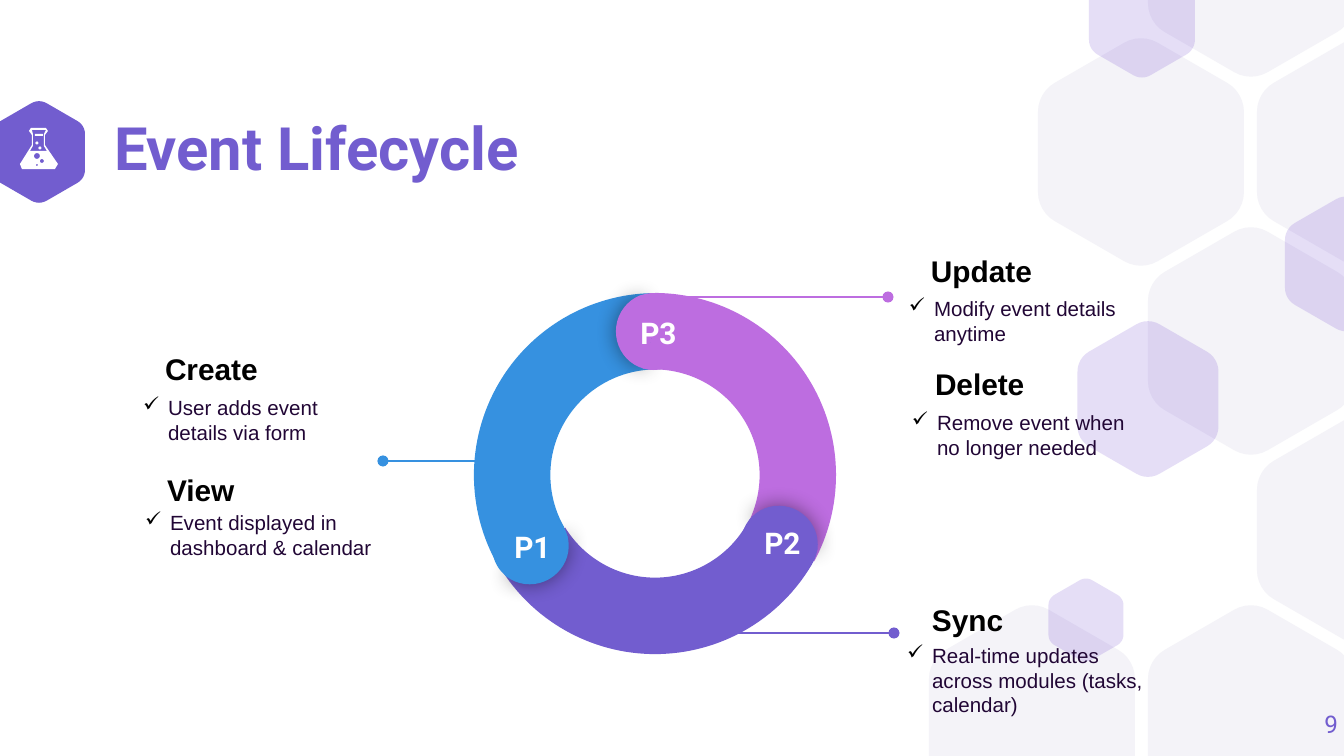
import math

import pptx
import pptx.dml.color
import pptx.enum.shapes
import pptx.enum.text
import pptx.oxml
import pptx.oxml.ns
import pptx.util

PX = 6804  # EMU in one px, 1344 px across the slide
NS = 'xmlns:a="http://schemas.openxmlformats.org/drawingml/2006/main"'
PURPLE, BLUE, PINK, WHITE = "725DCF", "3691E0", "BD6DE0", "FFFFFF"
rgb = pptx.dml.color.RGBColor.from_string
qn = pptx.oxml.ns.qn
parse_xml = pptx.oxml.parse_xml
shape_type = pptx.enum.shapes.MSO_SHAPE
align = pptx.enum.text.PP_ALIGN
anchor = pptx.enum.text.MSO_ANCHOR

deck = pptx.Presentation()
deck.slide_width = 1344 * PX
deck.slide_height = 756 * PX
slide = deck.slides.add_slide(deck.slide_layouts[6])
shapes = slide.shapes


def paint(shape, color, opacity=100):
    """Give a shape a plain fill with no line and no shadow."""
    shape.shadow.inherit = False
    shape.line.fill.background()
    shape.fill.solid()
    shape.fill.fore_color.rgb = rgb(color)
    if opacity < 100:
        tint = shape._element.spPr.find(".//" + qn("a:srgbClr"))
        tint.append(parse_xml(f'<a:alpha {NS} val="{opacity * 1000}"/>'))


def rounded_hexagon(x, y, width):
    """Points of a hexagon standing on a corner, cut at the slide's top and bottom."""
    corner = 0.163 * width
    reach = (width - 2 * corner) / math.sqrt(3)
    points = []
    for vertex in range(30, 390, 60):
        center_x = x + reach * math.cos(math.radians(vertex))
        center_y = y + reach * math.sin(math.radians(vertex))
        for turn in range(vertex - 30, vertex + 31, 10):
            point_x = center_x + corner * math.cos(math.radians(turn))
            point_y = center_y + corner * math.sin(math.radians(turn))
            points.append((point_x, min(max(point_y, 0), 756)))
    return points


# Outlines: contours, color, opacity
outlines = [([rounded_hexagon(39, 152, 92)], PURPLE, 100)]
for column, row in [(0, 4), (2, 4), (3, 1), (2, 0), (2, 2), (1, 1), (3, 3)]:
    honeycomb = rounded_hexagon(1032 + 219 * column // 2, 189 * row - 37, 206)
    outlines.append(([honeycomb], "F4F3F8", 100))
for x, y, width in [(1346, 264, 122), (1086, 620, 75), (1142, 19, 106), (1148, 399, 141)]:
    outlines.append(([rounded_hexagon(x, y, width)], "5322C9", 15))

flask = [
    [(31, 128), (46, 128), (48, 131), (45, 135), (45, 145), (58, 164),
     (55, 169), (22, 169), (20, 164), (32, 145), (32, 135), (29, 131)],
    [(32, 130), (46, 130), (44, 134), (44, 146), (47, 151),
     (30, 151), (33, 146), (33, 134)],
    [(35, 134), (43, 134), (43, 136), (35, 136)],
]
for x, y, radius in [(37, 156, 3), (42, 161, 2), (37, 165, 1), (40, 148, 1.5), (37, 143, 1.5)]:
    flask.append([(x + radius * math.cos(math.radians(turn)),
                   y + radius * math.sin(math.radians(turn))) for turn in range(0, 360, 30)])
outlines.append((flask, WHITE, 100))

for contours, color, opacity in outlines:
    builder = None
    for contour in contours:
        points = [(round(x * PX), round(y * PX)) for x, y in contour]
        if builder is None:
            builder = shapes.build_freeform(*points[0])
        else:
            builder.move_to(*points[0])
        builder.add_line_segments(points[1:], close=True)
    paint(builder.convert_to_shape(), color, opacity)

# Leader lines from the ring to the notes
for start, end, y, color in [(478, 383, 461, BLUE), (601, 894, 633, PURPLE), (645, 888, 297, PINK)]:
    leader = shapes.add_connector(
        pptx.enum.shapes.MSO_CONNECTOR.STRAIGHT, start * PX, y * PX, end * PX, y * PX)
    leader.line.color.rgb = rgb(color)
    leader.line.width = pptx.util.Pt(0.75)
    leader.line._ln.append(parse_xml(f'<a:tailEnd {NS} type="oval"/>'))
    leader._element.spPr.append(parse_xml(f"<a:effectLst {NS}/>"))

# Ring: three arcs, then a round cap at the start of each
for left, top, rotation, color in [(472, 293, 60, PINK), (473, 290, 180, PURPLE), (474, 293, 300, BLUE)]:
    arc = shapes.add_shape(shape_type.BLOCK_ARC, left * PX, top * PX, 364 * PX, 364 * PX)
    arc.rotation = rotation
    for index, value in enumerate([126.22, 197, 0.21]):
        arc.adjustments[index] = value
    paint(arc, color)

for left, top, rotation, color in [(493, 508, 240, BLUE), (616, 293, 0, PINK), (742, 505, 120, PURPLE)]:
    halves = [(rotation + 0.7, 61.9, 149.96, True),
              ((rotation + 180) % 360, 40.28, 171.84, False)]
    for turn, first, last, shaded in halves:
        cap = shapes.add_shape(shape_type.PIE, left * PX, top * PX, 75 * PX, 77 * PX)
        cap.rotation = turn
        cap.adjustments[0] = first
        cap.adjustments[1] = last
        paint(cap, color)
        if shaded:
            cap._element.spPr.find(qn("a:effectLst")).append(parse_xml(
                f'<a:outerShdw {NS} blurRad="142240" algn="ctr" rotWithShape="0">'
                '<a:srgbClr val="000000"><a:alpha val="43000"/></a:srgbClr></a:outerShdw>'))

# Text styles: size, font, color, bold, alignment, anchor, side inset, top inset
styles = {
    "title": (32, "Roboto", PURPLE, True, align.LEFT, anchor.MIDDLE, 0, 0),
    "number": (13, "Roboto", PURPLE, False, align.RIGHT, anchor.MIDDLE, 0, 0),
    "phase": (16, "Roboto", WHITE, True, align.CENTER, anchor.TOP, 13, 13),
    "heading": (16, "Arial", "000000", True, align.LEFT, anchor.TOP, 13, 7),
    "note": (11, "Arial", "210635", False, align.LEFT, anchor.TOP, 13, 7),
}
texts = [
    ("title", 114, 122, 883, 58, "Event Lifecycle"),
    ("number", 1258, 695, 80, 58, "9"),
    ("phase", 625, 302, 67, 35, "P3"),
    ("phase", 499, 516, 67, 35, "P1"),
    ("phase", 749, 512, 67, 35, "P2"),
    ("heading", 152, 344, 194, 50, "Create"),
    ("heading", 154, 465, 194, 50, "View"),
    ("heading", 918, 246, 194, 50, "Update"),
    ("heading", 922, 359, 194, 50, "Delete"),
    ("heading", 919, 595, 194, 50, "Sync"),
    ("note", 130, 388, 263, 63, "User adds event details via form"),
    ("note", 132, 503, 263, 63, "Event displayed in dashboard & calendar"),
    ("note", 896, 289, 263, 63, "Modify event details anytime"),
    ("note", 899, 403, 263, 63, "Remove event when no longer needed"),
    ("note", 894, 636, 263, 89, "Real-time updates across modules (tasks, calendar)"),
]
for style, left, top, width, height, words in texts:
    size, font, color, bold, alignment, vertical, side, above = styles[style]
    box = shapes.add_textbox(left * PX, top * PX, width * PX, height * PX)
    frame = box.text_frame
    frame.word_wrap = True
    frame.vertical_anchor = vertical
    frame.margin_left = frame.margin_right = side * PX
    frame.margin_top = frame.margin_bottom = above * PX
    para = frame.paragraphs[0]
    para.alignment = alignment
    if style == "title":
        para.line_spacing = 0.9
    if style == "note":
        settings = para._p.get_or_add_pPr()
        settings.set("marL", str(25 * PX))
        settings.set("indent", str(-25 * PX))
        settings.append(parse_xml(f'<a:buClr {NS}><a:srgbClr val="000000"/></a:buClr>'))
        settings.append(parse_xml(f'<a:buChar {NS} char="✓"/>'))
    span = para.add_run()
    span.text = words
    span.font.size = pptx.util.Pt(size)
    span.font.name = font
    span.font.bold = bold
    span.font.color.rgb = rgb(color)

deck.save("out.pptx")
